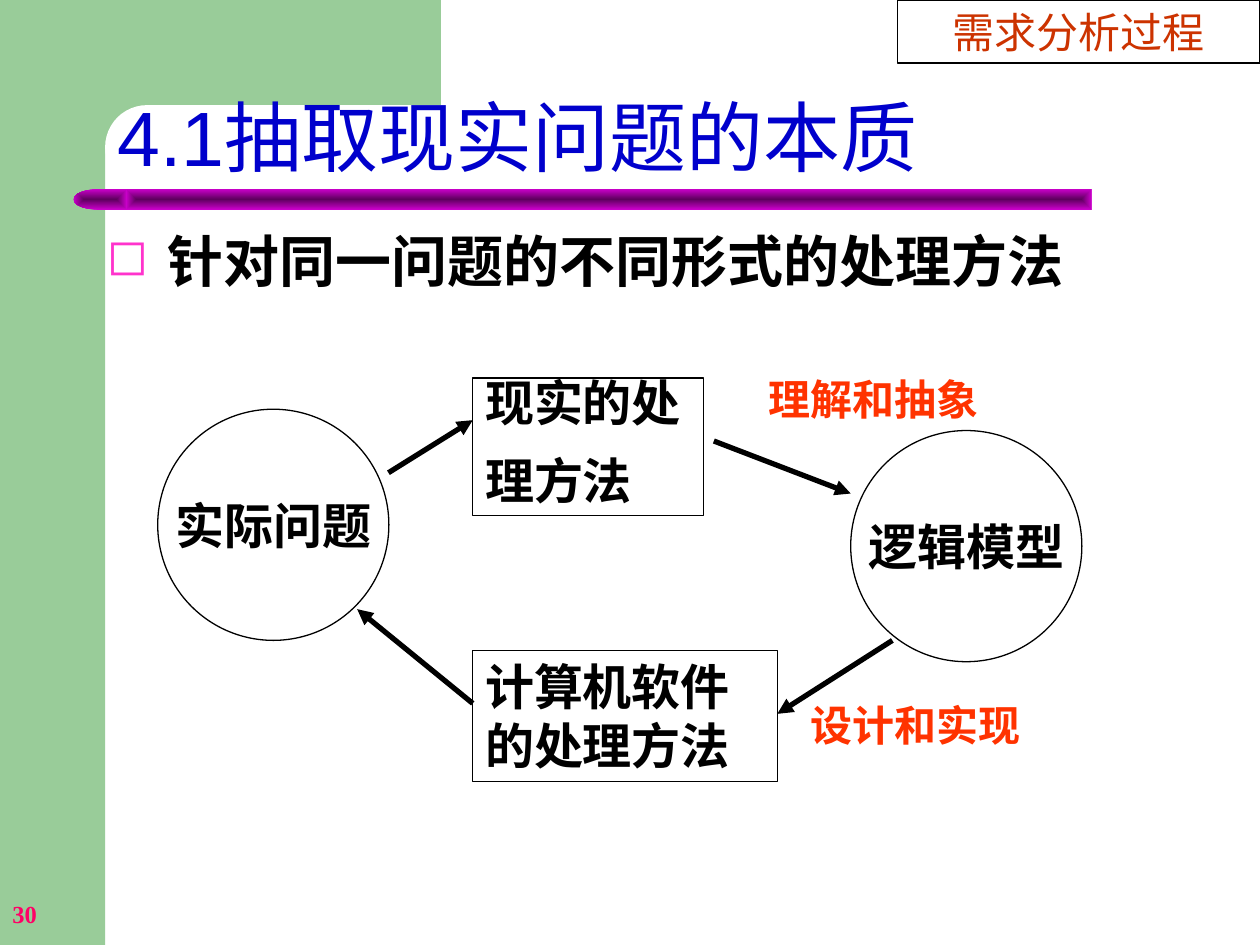
import pptx
import pptx.util
import pptx.dml.color
import pptx.enum.shapes
import pptx.enum.text
import pptx.oxml
import pptx.oxml.ns
import lxml.etree

Cm = pptx.util.Cm
Pt = pptx.util.Pt
SHAPE = pptx.enum.shapes.MSO_SHAPE
ALIGN = pptx.enum.text.PP_ALIGN
ANCHOR = pptx.enum.text.MSO_ANCHOR
qn = pptx.oxml.ns.qn

GREEN = "99CC99"
BLACK = "000000"
ORANGE = "FF3300"
GRADIENT = (
    f'<a:gradFill {pptx.oxml.ns.nsdecls("a")}><a:gsLst>'
    '<a:gs pos="0"><a:srgbClr val="5E005E"/></a:gs>'
    '<a:gs pos="100000"><a:srgbClr val="CC00CC"/></a:gs></a:gsLst>'
    '<a:path path="rect"><a:fillToRect l="50000" t="50000" r="50000" b="50000"/>'
    '</a:path></a:gradFill>'
)


def color(value):
    return pptx.dml.color.RGBColor.from_string(value)


class SlideBuilder:
    font = "Times New Roman"

    def __init__(self, slide):
        self.slide = slide

    def set_text(self, shape, text, size, fill, bold=True, font=None,
                 align=ALIGN.LEFT, anchor=ANCHOR.TOP, spacing=1.0, before=0, wrap=True):
        frame = shape.text_frame
        frame.text = text
        frame.auto_size = pptx.enum.text.MSO_AUTO_SIZE.NONE
        frame.word_wrap = wrap
        frame.vertical_anchor = anchor
        for index, paragraph in enumerate(frame.paragraphs):
            paragraph.alignment = align
            paragraph.line_spacing = spacing
            paragraph.space_before = Pt(before if index else 0)
            for run in paragraph.runs:
                run.font.name = font or self.font
                run.font.size = Pt(size)
                run.font.bold = bold
                run.font.color.rgb = color(fill)

    def shape(self, kind, box, fill=None, line=None):
        shape = self.slide.shapes.add_shape(kind, *map(Cm, box))
        shape.shadow.inherit = False
        if fill:
            shape.fill.solid()
            shape.fill.fore_color.rgb = color(fill)
        else:
            shape.fill.background()
        if line:
            shape.line.color.rgb = color(line)
            shape.line.width = Pt(0.75)
        else:
            shape.line.fill.background()
        return shape

    def gradient_bar(self, kind, box):
        shape = self.shape(kind, box)
        properties = shape.element.spPr
        properties.replace(properties.find(qn("a:noFill")), pptx.oxml.parse_xml(GRADIENT))
        return shape

    def title(self, text, box):
        title = self.slide.shapes.title
        title.left, title.top, title.width, title.height = map(Cm, box)
        title.element.getparent().append(title.element)
        self.set_text(title, text, 44, "0000CC", bold=False, font="Arial",
                      anchor=ANCHOR.BOTTOM, spacing=0.9)

    def text(self, text, box, size, fill, **style):
        shape = self.slide.shapes.add_textbox(*map(Cm, box))
        self.set_text(shape, text, size, fill, **style)
        return shape

    def bullet(self, text, box):
        shape = self.text(text, box, 32, BLACK)
        properties = shape.text_frame.paragraphs[0]._p.get_or_add_pPr()
        indent = Cm(1.23)
        properties.set("marL", str(indent))
        properties.set("indent", str(-indent))
        bullet_color = lxml.etree.SubElement(properties, qn("a:buClr"))
        lxml.etree.SubElement(bullet_color, qn("a:srgbClr"), val="FF33CC")
        lxml.etree.SubElement(properties, qn("a:buSzPct"), val="90000")
        lxml.etree.SubElement(properties, qn("a:buChar"), char="◻")

    def node(self, kind, text, box, size=28, fill=BLACK, **style):
        self.set_text(self.shape(kind, box, line=BLACK), text, size, fill, **style)

    def circle(self, text, left, top):
        self.node(SHAPE.OVAL, text, (left, top, 4.66, 4.66),
                  align=ALIGN.CENTER, anchor=ANCHOR.MIDDLE, wrap=False)

    def arrow(self, start, end):
        connector = self.slide.shapes.add_connector(
            pptx.enum.shapes.MSO_CONNECTOR.STRAIGHT, *map(Cm, start + end))
        connector.line.color.rgb = color(BLACK)
        connector.line.width = Pt(3)
        properties = connector.element.spPr
        lxml.etree.SubElement(properties.find(qn("a:ln")), qn("a:tailEnd"), type="triangle")
        lxml.etree.SubElement(properties, qn("a:effectLst"))


def main():
    presentation = pptx.Presentation()
    presentation.slide_width = Cm(25.4)
    presentation.slide_height = Cm(19.05)
    builder = SlideBuilder(presentation.slides.add_slide(presentation.slide_layouts[5]))

    builder.shape(SHAPE.RECTANGLE, (0, 0, 2.12, 19.05), fill=GREEN)
    builder.shape(SHAPE.RECTANGLE, (1.9, 0, 6.99, 2.96), fill=GREEN)
    panel = builder.shape(SHAPE.ROUNDED_RECTANGLE, (2.12, 2.12, 14.18, 1.69), fill="FFFFFF")
    panel.adjustments[0] = 0.5
    builder.gradient_bar(SHAPE.RECTANGLE, (2.54, 3.81, 19.47, 0.42))
    bar_end = builder.gradient_bar(SHAPE.FLOWCHART_DELAY, (1.48, 3.81, 1.08, 0.42))
    bar_end.rotation = 180

    builder.text("30", (0, 17.78, 5.29, 1.27), 14, "FF0066", anchor=ANCHOR.MIDDLE)
    builder.title("4.1抽取现实问题的本质", (2.12, 1.69, 22.23, 2.12))
    builder.bullet("针对同一问题的不同形式的处理方法", (1.9, 4.45, 23.5, 1.69))

    builder.node(SHAPE.RECTANGLE, "需求分析过程", (18.1, 0, 7.3, 1.27),
                 size=24, fill="CC3300", bold=False, align=ALIGN.CENTER)
    builder.node(SHAPE.RECTANGLE, "现实的处\n理方法", (9.53, 7.62, 4.66, 2.78),
                 spacing=0.8, before=17.5)
    builder.node(SHAPE.RECTANGLE, "计算机软件的处理方法", (9.53, 13.12, 6.14, 2.64))
    builder.circle("实际问题", 3.18, 8.25)
    builder.circle("逻辑模型", 17.15, 8.68)

    for start, end in (
        ((7.83, 9.53), (9.53, 8.47)),
        ((14.39, 8.89), (17.15, 9.95)),
        ((17.99, 12.91), (15.67, 14.39)),
        ((9.53, 14.18), (7.2, 12.28)),
    ):
        builder.arrow(start, end)

    builder.text("理解和抽象", (15.24, 7.41, 5.93, 1.27), 24, ORANGE)
    builder.text("设计和实现", (16.09, 13.97, 5.93, 1.27), 24, ORANGE)

    presentation.save("out.pptx")


if __name__ == "__main__":
    main()
